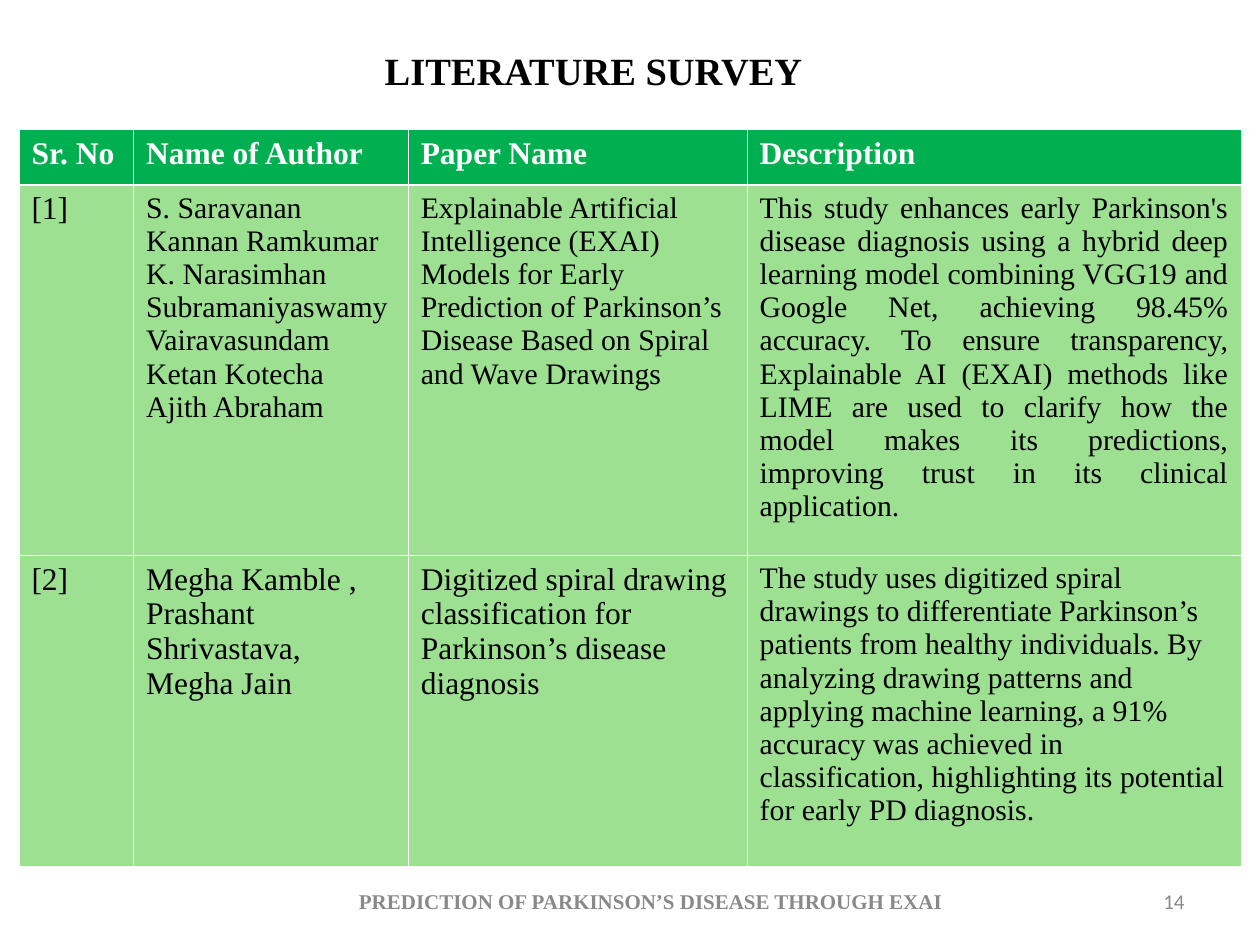
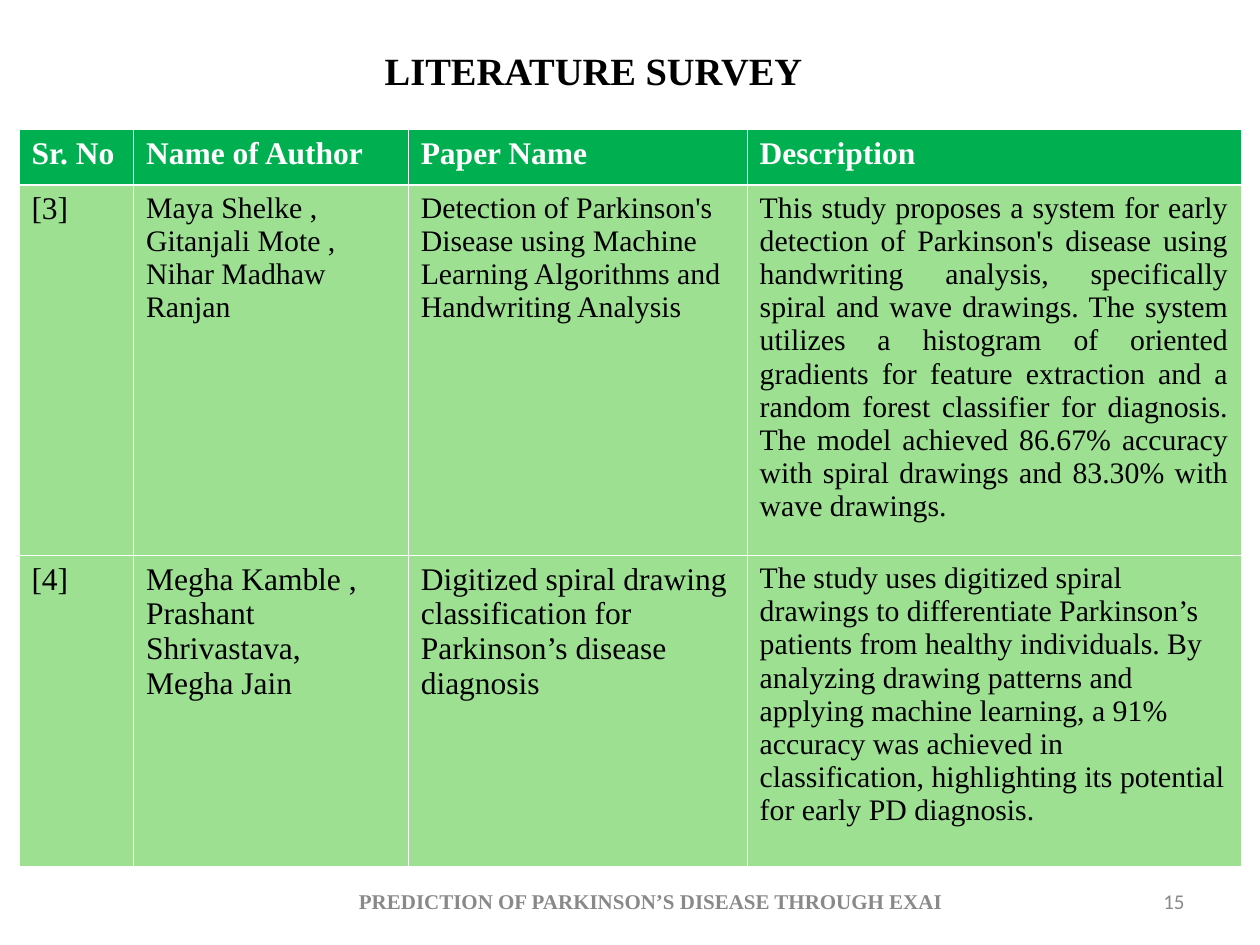
"""Build two literature survey slides, each with a table of two papers."""
from lxml import etree
from pptx import Presentation
from pptx.dml.color import RGBColor
from pptx.enum.text import MSO_ANCHOR, MSO_AUTO_SIZE, PP_ALIGN
from pptx.oxml.ns import qn
from pptx.util import Inches, Pt

LEFT, CENTER, RIGHT, JUSTIFY = PP_ALIGN.LEFT, PP_ALIGN.CENTER, PP_ALIGN.RIGHT, PP_ALIGN.JUSTIFY
MIDDLE, TOP = MSO_ANCHOR.MIDDLE, MSO_ANCHOR.TOP
NO_AUTOFIT = MSO_AUTO_SIZE.NONE
COLORS = {"text": "000000", "header": "00B050", "body": "9DE092", "white": "FFFFFF", "footer": "898989"}
SERIF, SANS = "Times New Roman", "Calibri"

TITLE = "LITERATURE SURVEY"
FOOTER = "PREDICTION OF PARKINSON’S DISEASE THROUGH EXAI"
FIRST_PAGE = 14
HEADINGS = ["Sr. No", "Name of Author", "Paper Name", "Description"]
COLUMN_WIDTHS = [0.91, 2.18, 2.69, 3.92]
ROW_HEIGHTS = [0.44, 2.94, 2.47]
ROW_SIZES = [[18, 18, 18, 18], [18, 17, 17, 17], [18, 18, 18, 17]]
THIN, THICK = 0.45, 1.47

SPIRAL_PAPER = [
    "Megha Kamble , Prashant Shrivastava, Megha Jain",
    "Digitized spiral drawing classification for Parkinson’s disease diagnosis",
    "The study uses digitized spiral drawings to differentiate Parkinson’s patients from healthy "
    "individuals. By analyzing drawing patterns and applying machine learning, a 91% accuracy was "
    "achieved in classification, highlighting its potential for early PD diagnosis.",
]
EXPLAINABLE_PAPER = [
    "S. Saravanan Kannan Ramkumar\nK. Narasimhan Subramaniyaswamy Vairavasundam\n"
    "Ketan Kotecha\nAjith Abraham",
    "Explainable Artificial Intelligence (EXAI) Models for Early Prediction of Parkinson’s Disease "
    "Based on Spiral and Wave Drawings",
    "This study enhances early Parkinson's disease diagnosis using a hybrid deep learning model "
    "combining VGG19 and Google Net, achieving 98.45% accuracy. To ensure transparency, Explainable "
    "AI (EXAI) methods like LIME are used to clarify how the model makes its predictions, improving "
    "trust in its clinical application.",
]
HANDWRITING_PAPER = [
    "Maya Shelke ,\nGitanjali Mote ,\nNihar Madhaw Ranjan",
    "Detection of Parkinson's Disease using Machine Learning Algorithms and Handwriting Analysis",
    "This study proposes a system for early detection of Parkinson's disease using handwriting "
    "analysis, specifically spiral and wave drawings. The system utilizes a histogram of oriented "
    "gradients for feature extraction and a random forest classifier for diagnosis. The model "
    "achieved 86.67% accuracy with spiral drawings and 83.30% with wave drawings.",
]
SURVEYS = [
    [["[1]"] + EXPLAINABLE_PAPER, ["[2]"] + SPIRAL_PAPER],
    [["[3]"] + HANDWRITING_PAPER, ["[4]"] + SPIRAL_PAPER],
]


def write(frame, text, size=18, color="text", font=SERIF, bold=False, align=LEFT, anchor=TOP):
    frame.word_wrap = True
    frame.vertical_anchor = anchor
    frame.text = text
    for para in frame.paragraphs:
        para.alignment = align
        for span in para.runs:
            span.font.name = font
            span.font.size = Pt(size)
            span.font.bold = bold
            span.font.color.rgb = RGBColor.from_string(COLORS[color])


def set_borders(cell, top, bottom):
    properties = cell._tc.get_or_add_tcPr()
    sides = [("a:lnL", THIN), ("a:lnR", THIN), ("a:lnT", top), ("a:lnB", bottom)]
    for index, (side, width) in enumerate(sides):
        line = etree.Element(qn(side), w=str(Pt(width)))
        fill = etree.SubElement(line, qn("a:solidFill"))
        etree.SubElement(fill, qn("a:srgbClr"), val=COLORS["white"])
        properties.insert(index, line)


deck = Presentation()
deck.slide_width, deck.slide_height = Inches(10), Inches(7.5)
title_only = deck.slide_layouts[5]

for page_number, papers in enumerate(SURVEYS, FIRST_PAGE):
    page = deck.slides.add_slide(title_only)

    title = page.shapes.title
    title.left, title.top = Inches(0.42), Inches(0.01)
    title.width, title.height = Inches(8.58), Inches(1.09)
    title.text_frame.auto_size = NO_AUTOFIT
    write(title.text_frame, TITLE, size=22, bold=True, align=CENTER, anchor=MIDDLE)

    footer = page.shapes.add_textbox(Inches(1.75), Inches(6.95), Inches(6.83), Inches(0.4))
    write(footer.text_frame, FOOTER, size=12, color="footer", bold=True, align=CENTER, anchor=MIDDLE)
    number = page.shapes.add_textbox(Inches(8.75), Inches(6.95), Inches(0.75), Inches(0.4))
    write(number.text_frame, str(page_number), size=12, color="footer", font=SANS,
          align=RIGHT, anchor=MIDDLE)

    rows = [HEADINGS] + papers
    table = page.shapes.add_table(len(rows), len(HEADINGS), Inches(0.15), Inches(1.03),
                                  Inches(9.7), Inches(5.85)).table
    table.horz_banding = False
    for column, width in zip(table.columns, COLUMN_WIDTHS):
        column.width = Inches(width)
    for row_index, texts in enumerate(rows):
        table.rows[row_index].height = Inches(ROW_HEIGHTS[row_index])
        is_header = row_index == 0
        for column_index, text in enumerate(texts):
            cell = table.cell(row_index, column_index)
            is_justified = row_index == 1 and column_index == 3
            write(cell.text_frame, text, size=ROW_SIZES[row_index][column_index],
                  color="white" if is_header else "text", bold=is_header,
                  align=JUSTIFY if is_justified else LEFT)
            cell.fill.solid()
            cell.fill.fore_color.rgb = RGBColor.from_string(COLORS["header" if is_header else "body"])
            set_borders(cell, top=THICK if row_index == 1 else THIN,
                        bottom=THICK if is_header else THIN)

deck.save("out.pptx")
